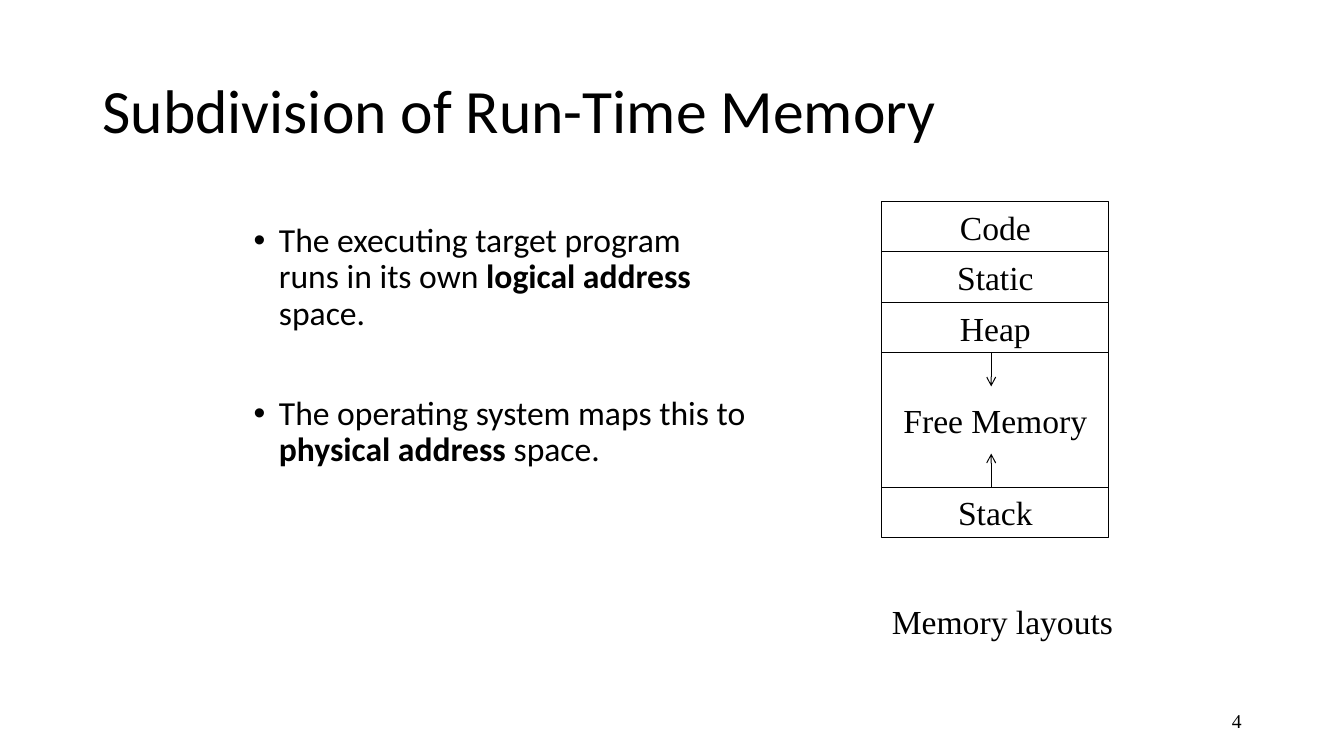
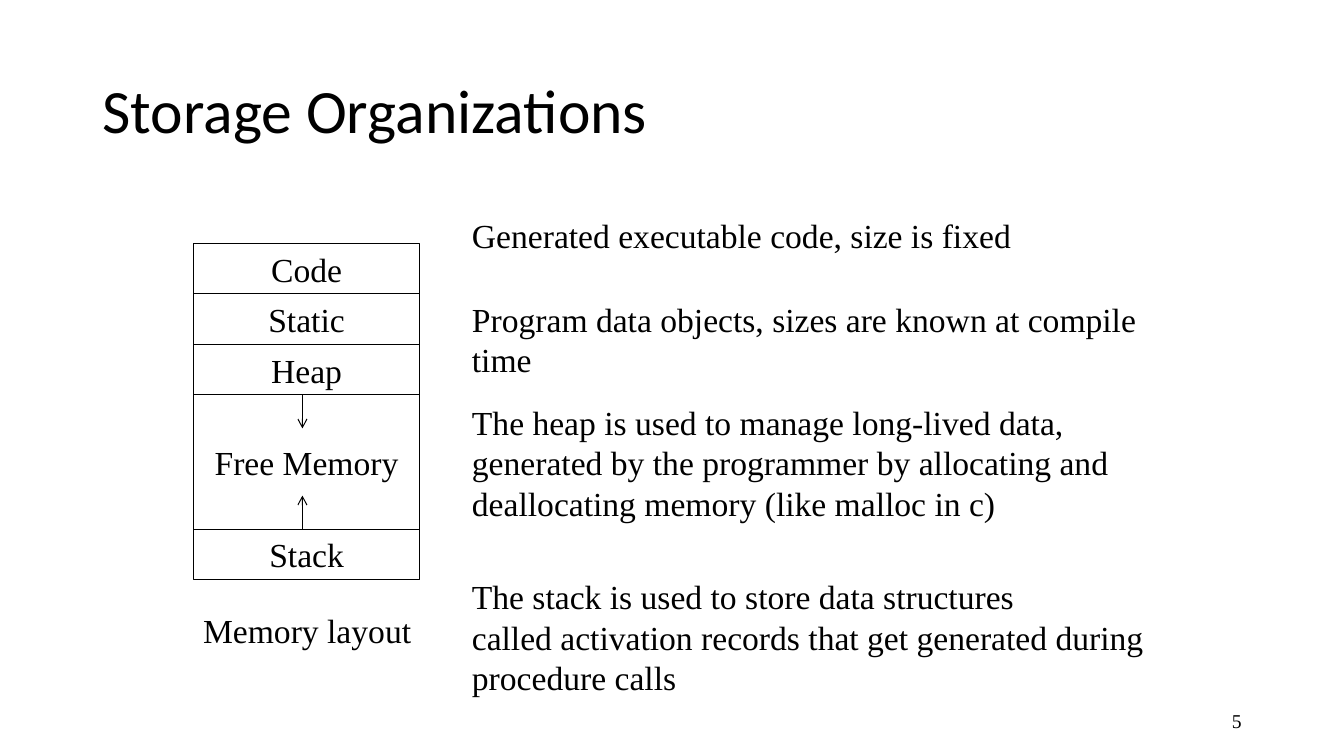
from dataclasses import dataclass

from lxml import etree
from pptx import Presentation
from pptx.dml.color import RGBColor
from pptx.enum.shapes import MSO_CONNECTOR, MSO_SHAPE
from pptx.enum.text import MSO_ANCHOR, MSO_AUTO_SIZE, PP_ALIGN
from pptx.oxml.ns import qn
from pptx.util import Inches, Pt

LEFT, MID, RIGHT = PP_ALIGN.LEFT, PP_ALIGN.CENTER, PP_ALIGN.RIGHT
TOP, CENTER = MSO_ANCHOR.TOP, MSO_ANCHOR.MIDDLE
FIXED = MSO_AUTO_SIZE.NONE
RECT, LINE = MSO_SHAPE.RECTANGLE, MSO_CONNECTOR.STRAIGHT


@dataclass(frozen=True)
class Theme:
    ink: RGBColor = RGBColor(0, 0, 0)
    sans: str = "Calibri"
    serif: str = "Times New Roman"
    head: int = 44
    text: int = 24
    small: int = 14
    rule: float = 0.75
    tight: float = 0.9
    gap: int = 46


THEME = Theme()
COLS, ROWS = 160, 90
WIDE, HIGH = Inches(13.33), Inches(7.5)

TITLE = (11, 4.8, 138, 17.4)
LIST = (29, 26, 61, 54)
NUMBER = (113, 83.4, 36, 4.8)

LAYERS = [("Code", 6), ("Static", 6), ("Heap", 6), ("Free Memory", 16), ("Stack", 6)]

POINTS = [
    [("The executing target program runs in its own ", False),
     ("logical address ", True), ("space.", False)],
    [("The operating system maps this to ", False),
     ("physical address ", True), ("space.", False)],
]

NOTES = [
    ((55, 25, 75, 6), ["Generated executable code, size is fixed"]),
    ((55, 35, 85, 11), ["Program data objects, sizes are known at compile time"]),
    ((55, 47.25, 85, 16), ["The heap is used to manage long-lived data, generated by the "
                           "programmer by allocating and deallocating memory (like malloc in c)"]),
    ((55, 68, 83, 16), ["The stack is used to store data structures",
                        "called activation records that get generated during procedure calls"]),
]


def grid(x, y, w, h):
    return (int(WIDE * x / COLS), int(HIGH * y / ROWS),
            int(WIDE * w / COLS), int(HIGH * h / ROWS))


def move(shape, box):
    shape.left, shape.top, shape.width, shape.height = grid(*box)


def style(par, size, face, align=LEFT):
    par.alignment = align
    par.font.size, par.font.name = Pt(size), face
    par.font.color.rgb = THEME.ink


def write(shape, lines, size=THEME.text, align=LEFT, anchor=TOP):
    frame = shape.text_frame
    frame.word_wrap, frame.auto_size = True, FIXED
    frame.vertical_anchor = anchor
    frame.text = "\n".join(lines)
    for par in frame.paragraphs:
        style(par, size, THEME.serif, align)


def label(slide, box, lines, **look):
    write(slide.shapes.add_textbox(*grid(*box)), lines, **look)


def title(slide, text):
    head = slide.shapes.title
    move(head, TITLE)
    frame = head.text_frame
    frame.text, frame.auto_size = text, FIXED
    frame.vertical_anchor = CENTER
    par = frame.paragraphs[0]
    par.line_spacing = THEME.tight
    style(par, THEME.head, THEME.sans)


def bullet(par):
    props = par._p.get_or_add_pPr()
    props.set("marL", str(Inches(0.25)))
    props.set("indent", str(-Inches(0.25)))
    etree.SubElement(props, qn("a:buFont")).set("typeface", "Arial")
    etree.SubElement(props, qn("a:buChar")).set("char", "•")


def points(slide, box, items):
    body = slide.placeholders[1]
    move(body, box)
    frame = body.text_frame
    frame.auto_size = FIXED
    for i, item in enumerate(items):
        par = frame.add_paragraph() if i else frame.paragraphs[0]
        bullet(par)
        par.line_spacing = THEME.tight
        par.space_before = Pt(THEME.gap if i else 0)
        style(par, THEME.text, THEME.sans)
        for text, bold in item:
            run = par.add_run()
            run.text, run.font.bold = text, bold


def arrow(slide, x, start, end):
    left, top, _, rise = grid(x, start, 0, end - start)
    line = slide.shapes.add_connector(LINE, left, top, left, top + rise)
    line.line.color.rgb, line.line.width = THEME.ink, Pt(THEME.rule)
    etree.SubElement(line.line._get_or_add_ln(), qn("a:tailEnd")).set("type", "arrow")
    etree.SubElement(line._element.spPr, qn("a:effectLst"))


def layer(slide, box, text):
    shape = slide.shapes.add_shape(RECT, *grid(*box))
    shape.shadow.inherit = False
    shape.fill.background()
    shape.line.color.rgb, shape.line.width = THEME.ink, Pt(THEME.rule)
    write(shape, [text], align=MID, anchor=CENTER)


def tower(slide, x, y, name, drop):
    wide, reach = 27, 4
    axis, row = x + 13, y
    for text, high in LAYERS:
        layer(slide, (x, row, wide, high), text)
        if text == "Free Memory":
            arrow(slide, axis, row, row + reach)
            arrow(slide, axis, row + high, row + high - reach)
        row += high
    label(slide, (x, row + drop, wide + 4, 6), [name])


def page(deck, layout, head, number):
    slide = deck.slides.add_slide(deck.slide_layouts[layout])
    title(slide, head)
    label(slide, NUMBER, [str(number)], size=THEME.small, align=RIGHT, anchor=CENTER)
    return slide


def memory(deck):
    slide = page(deck, 1, "Subdivision of Run-Time Memory", 4)
    points(slide, LIST, POINTS)
    tower(slide, 105, 24, "Memory layouts", 7)


def storage(deck):
    slide = page(deck, 5, "Storage Organizations", 5)
    for box, lines in NOTES:
        label(slide, box, lines)
    tower(slide, 23, 29, "Memory layout", 3)


def main():
    deck = Presentation()
    deck.slide_width, deck.slide_height = WIDE, HIGH
    memory(deck)
    storage(deck)
    deck.save("out.pptx")


if __name__ == "__main__":
    main()
